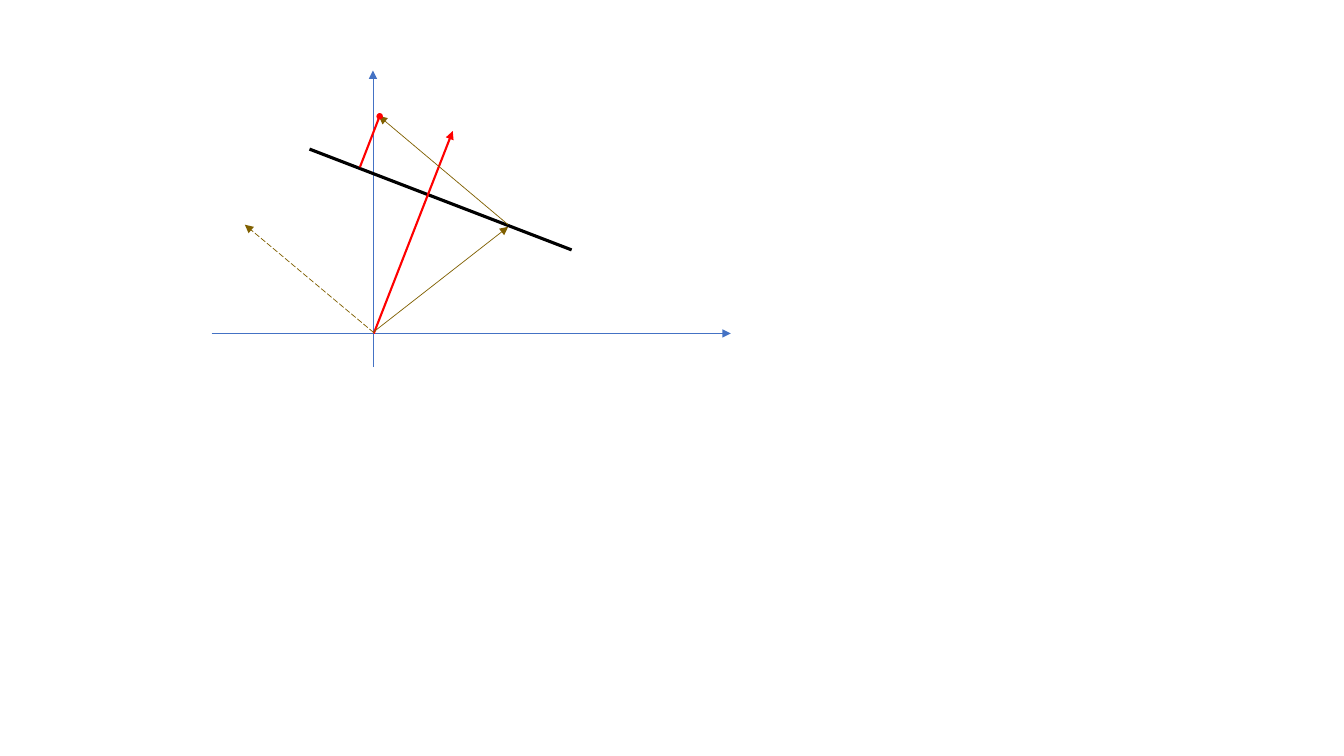
import pptx
import pptx.dml.color
import pptx.enum.dml
import pptx.enum.shapes
import pptx.oxml.ns
import pptx.util
from lxml import etree

RGB = pptx.dml.color.RGBColor
BLUE = RGB(0x44, 0x72, 0xC4)
BLACK = RGB(0x00, 0x00, 0x00)
RED = RGB(0xFF, 0x00, 0x00)
OLIVE = RGB(0x80, 0x60, 0x00)

COLUMNS, ROWS = 32, 18
THIN, MEDIUM, THICK = 0.5, 1.5, 2.25


class Diagram:
    """Draw vectors and points on one slide, placed by grid column and row."""

    def __init__(self, prs):
        self.s = prs.slides.add_slide(prs.slide_layouts[6])
        self.col = prs.slide_width / COLUMNS
        self.row = prs.slide_height / ROWS

    def place(self, point):
        return round(point[0] * self.col), round(point[1] * self.row)

    def line(self, start, end, color, width=THIN, arrow=True, dash=None):
        kind = pptx.enum.shapes.MSO_CONNECTOR.STRAIGHT
        sp = self.s.shapes.add_connector(kind, *self.place(start), *self.place(end))
        sp.line.color.rgb = color
        sp.line.width = pptx.util.Pt(width)
        if dash:
            sp.line.dash_style = dash
        qn = pptx.oxml.ns.qn
        if arrow:
            ln = sp.line._get_or_add_ln()
            etree.SubElement(ln, qn("a:tailEnd"), type="triangle")
        etree.SubElement(sp._element.spPr, qn("a:effectLst"))

    def dot(self, center, size, color):
        x, y = self.place(center)
        d = round(size * self.col)
        oval = pptx.enum.shapes.MSO_SHAPE.OVAL
        sp = self.s.shapes.add_shape(oval, x - d // 2, y - d // 2, d, d)
        sp.shadow.inherit = False
        sp.fill.solid()
        sp.fill.fore_color.rgb = color
        sp.line.color.rgb = color
        sp.line.width = pptx.util.Pt(1)


def main():
    prs = pptx.Presentation()
    prs.slide_width = pptx.util.Inches(13.33)
    prs.slide_height = pptx.util.Inches(7.5)
    diagram = Diagram(prs)

    diagram.line((5.04, 7.94), (17.4, 7.94), BLUE)
    diagram.line((8.88, 8.74), (8.88, 1.68), BLUE)

    diagram.line((7.37, 3.55), (13.61, 5.95), BLACK, THICK, arrow=False)
    diagram.line((8.9, 7.94), (10.78, 3.12), RED, MEDIUM)

    diagram.line((8.9, 7.9), (12.1, 5.4), OLIVE)
    diagram.line((12.1, 5.35), (9.02, 2.76), OLIVE)
    diagram.line((8.57, 3.98), (9.05, 2.74), RED, MEDIUM, arrow=False)
    diagram.line((8.9, 7.92), (5.83, 5.35), OLIVE,
                 dash=pptx.enum.dml.MSO_LINE.LONG_DASH)
    diagram.dot((9.04, 2.77), 0.12, RED)

    prs.save("out.pptx")


if __name__ == "__main__":
    main()
